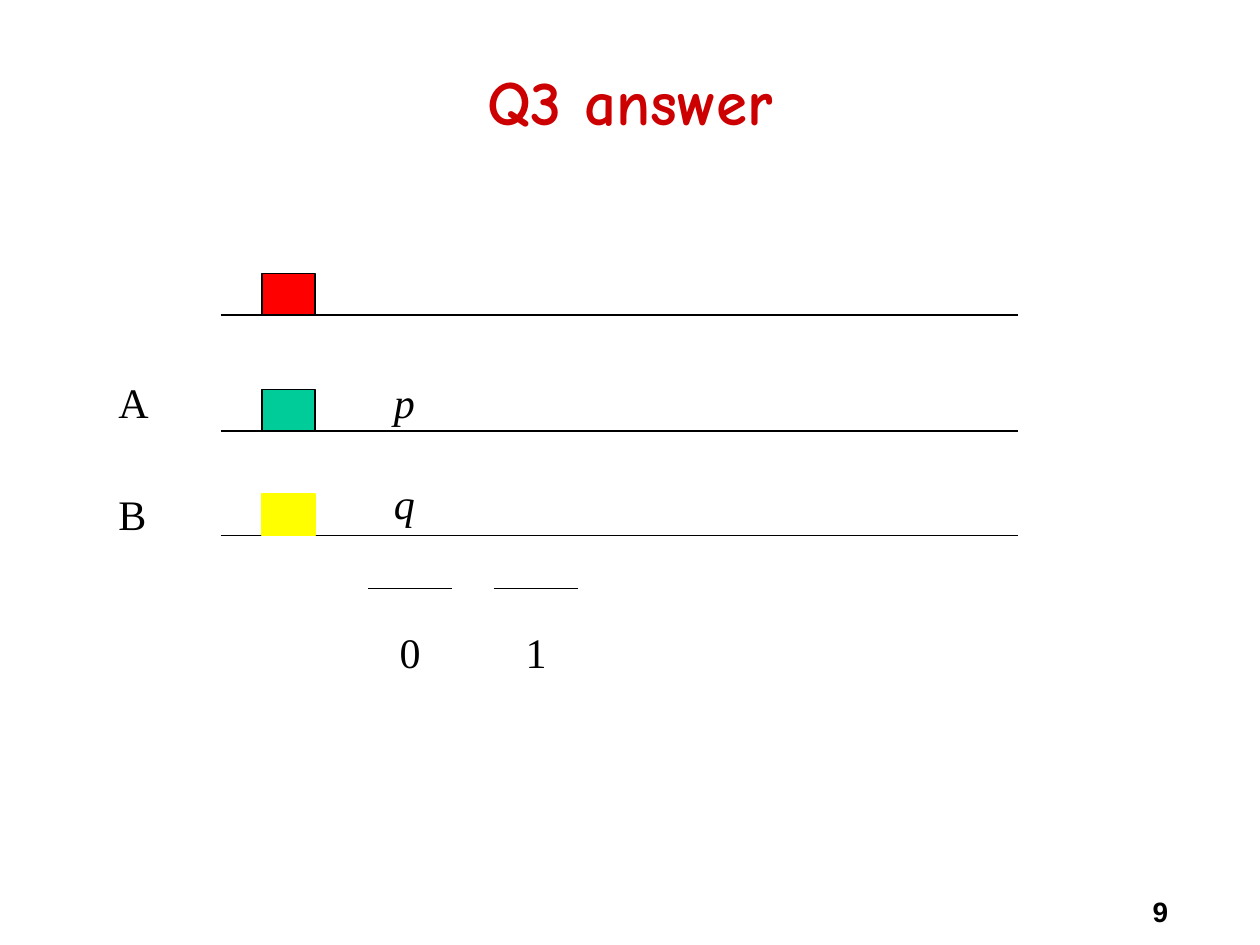
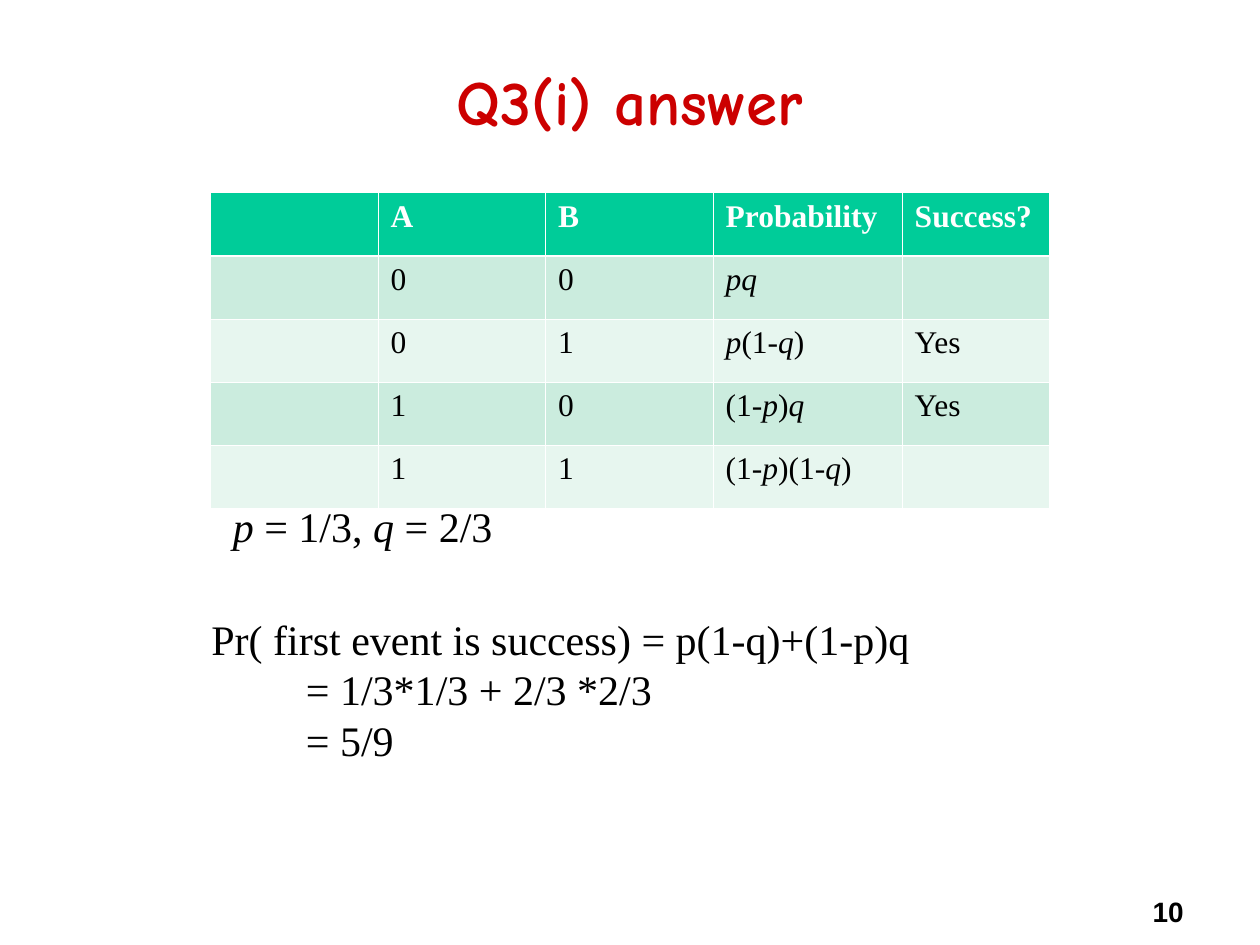
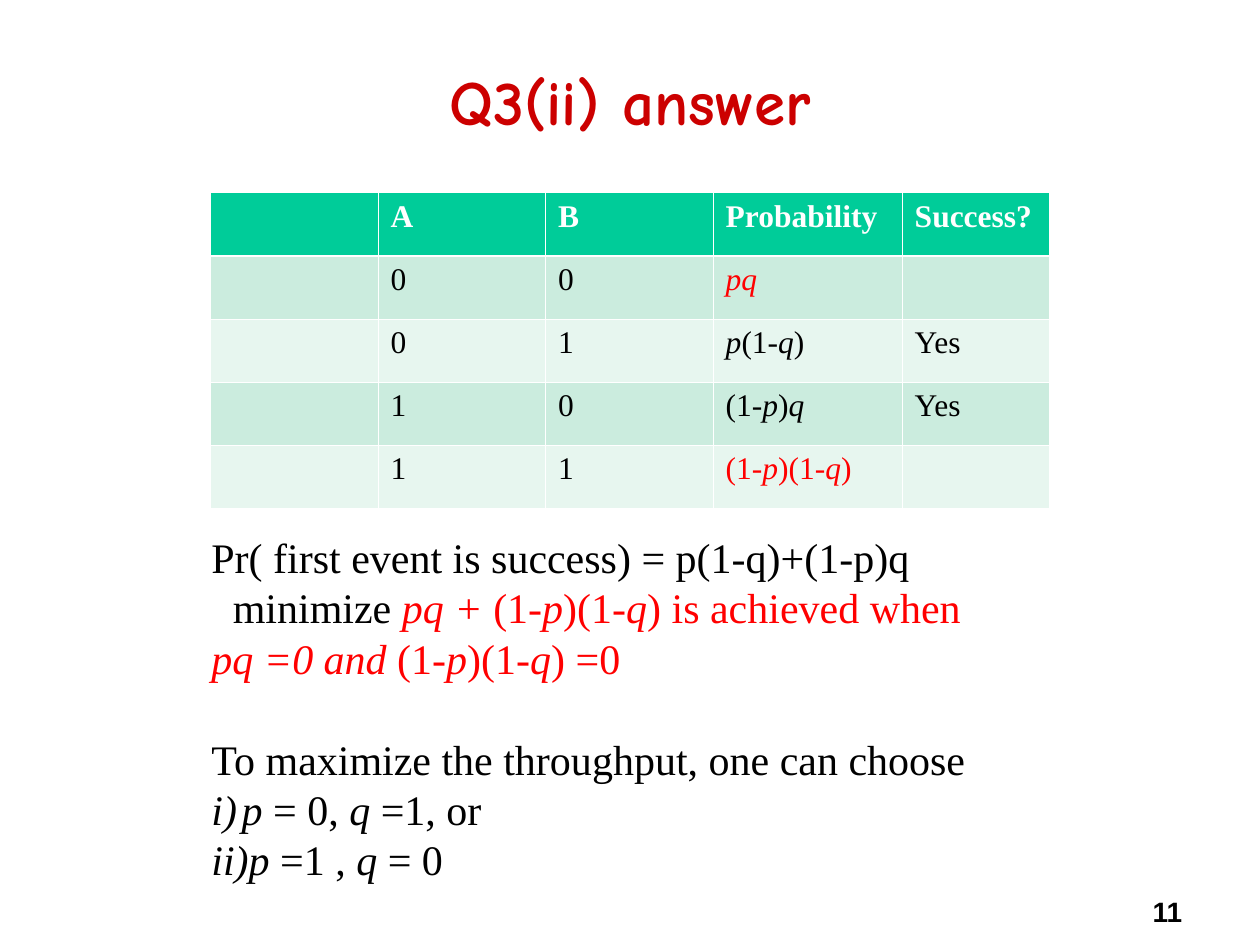
from lxml import etree
from pptx import Presentation, util as u
from pptx.dml.color import RGBColor
from pptx.enum import shapes, text
from pptx.oxml.ns import qn

WIDE, HIGH = 10, 7.5
BLACK = RGBColor(0, 0, 0)
WHITE = RGBColor(255, 255, 255)
RED = RGBColor(255, 0, 0)
DEEP = RGBColor(0xCC, 0, 0)
GREEN = RGBColor(0, 0xCC, 0x99)
YELLOW = RGBColor(255, 255, 0)
BANDS = RGBColor(0xCB, 0xEC, 0xDE), RGBColor(0xE7, 0xF6, 0xEF)
SERIF, SANS, COMIC = "Times New Roman", "Arial", "Comic Neue"
LEAD = 28.8  # line height of body text, points
LEFT, CENTRE = text.PP_ALIGN.LEFT, text.PP_ALIGN.CENTER

# In all wording, _ switches italics and ^ switches red.
TITLES = ["Q3 answer", "Q3(i) answer", "Q3(ii) answer"]
FIRST = 9  # number of the first slide

# base line, square fill, square line
QUEUES = [(2.5, RED, BLACK), (3.42, GREEN, BLACK), (4.25, YELLOW, YELLOW)]
SLOTS = [(2.92, "0"), (3.92, "1")]
# left, top, width, wording, alignment
LABELS = [
    (0.84, 2.94, 0.75, "A", LEFT),
    (0.84, 3.83, 0.75, "B", LEFT),
    (2.92, 2.94, 0.58, "_p_", CENTRE),
    (2.92, 3.74, 0.58, "_q_", CENTRE),
]

COLS = [1.33, 1.33, 1.33, 1.5, 1.17]
HEAD = ["", "A", "B", "Probability", "Success?"]
CASES = [
    ["", "0", "0", "_pq_", ""],
    ["", "0", "1", "_p_(1-_q_)", "Yes"],
    ["", "1", "0", "(1-_p_)_q_", "Yes"],
    ["", "1", "1", "(1-_p_)(1-_q_)", ""],
]
FAILS = [[f"^{c}^" if k == 3 and not row[4] else c for k, c in enumerate(row)]
         for row in CASES]

# wording, then paragraph options
CHANCE = ("Pr( first event is success) = p(1-q)+(1-p)q", {})
GIVEN = [("_p_ = 1/3, _q_ = 2/3", {})]
SUM = [
    CHANCE,
    ("= 1/3*1/3 + 2/3 *2/3", {"left": 0.75}),
    ("= 5/9", {"left": 0.75}),
]
BEST = [
    CHANCE,
    ("minimize ^_pq + _(1-_p_)(1-_q_) is achieved when^", {"left": 0.17}),
    ("^_pq =0 and _(1-_p_)(1-_q_) =0^", {}),
    ("To maximize the throughput, one can choose", {"gap": LEAD}),
    ("_p_ = 0, _q_ =1, or", {"left": 0.24, "roman": True}),
    ("_p_ =1 , _q_ = 0", {"left": 0.24, "roman": True}),
]


def write(para, words, size=24, face=SERIF, color=BLACK, bold=False):
    """Fill a paragraph, reading the italic and red switches."""
    font = para.font
    font.size, font.name, font.bold = u.Pt(size), face, bold
    font.color.rgb = color
    for k, tinted in enumerate(words.split("^")):
        for j, part in enumerate(tinted.split("_")):
            if part:
                run = para.add_run()
                run.text = part
                if j % 2:
                    run.font.italic = True
                if k % 2:
                    run.font.color.rgb = RED


def box(slide, left, top, wide, high):
    """Add an empty wrapping text box and return its frame."""
    frame = slide.shapes.add_textbox(*map(u.Inches, (left, top, wide, high))).text_frame
    frame.word_wrap = True
    return frame


def body(slide, left, top, wide, lines, align=LEFT):
    """Add serif body text, one paragraph for each line."""
    frame = box(slide, left, top, wide, 0.1 + len(lines) * LEAD / 72)
    for k, (words, opts) in enumerate(lines):
        para = frame.add_paragraph() if k else frame.paragraphs[0]
        para.alignment, para.line_spacing = align, u.Pt(LEAD)
        if "gap" in opts:
            para.space_before = u.Pt(opts["gap"])
        write(para, words)
        props = para._p.get_or_add_pPr()
        if "left" in opts:
            props.set("marL", str(u.Inches(opts["left"])))
        if "roman" in opts:
            props.set("indent", str(-u.Inches(opts["left"])))
            mark = etree.Element(qn("a:buAutoNum"), type="romanLcParenR")
            props.find(qn("a:defRPr")).addprevious(mark)


def rule(slide, left, right, y):
    """Draw a thin level line."""
    line = slide.shapes.add_connector(
        shapes.MSO_CONNECTOR.STRAIGHT, *map(u.Inches, (left, y, right, y)))
    line.line.color.rgb, line.line.width = BLACK, u.Pt(0.74)
    etree.SubElement(line._element.spPr, qn("a:effectLst"))


def square(slide, base, fill, edge):
    """Stand a packet on its queue line."""
    wide, high = 0.42, 0.33
    shape = slide.shapes.add_shape(
        shapes.MSO_SHAPE.RECTANGLE, *map(u.Inches, (2.08, base - high, wide, high)))
    shape.shadow.inherit = False
    shape.fill.solid()
    shape.fill.fore_color.rgb = fill
    shape.line.color.rgb, shape.line.width = edge, u.Pt(0.74)


def border(cell, row):
    """Give a cell white edges, thicker between head and body."""
    props = cell._tc.get_or_add_tcPr()
    for side in "LRTB":
        thick = (row, side) in ((0, "B"), (1, "T"))
        edge = etree.SubElement(props, qn("a:ln" + side),
                                w=str(u.Pt(1.47 if thick else 0.45)))
        fill = etree.SubElement(edge, qn("a:solidFill"))
        etree.SubElement(fill, qn("a:srgbClr"), val=str(WHITE))


def grid(slide, cases):
    """Add the table of outcomes."""
    rows, high = [HEAD] + cases, 0.41
    area = 1.67, 1.53, sum(COLS), high * len(rows)
    table = slide.shapes.add_table(len(rows), len(COLS), *map(u.Inches, area)).table
    table.horz_banding = False
    for col, wide in zip(table.columns, COLS):
        col.width = u.Inches(wide)
    for r, row in enumerate(rows):
        table.rows[r].height = u.Inches(high)
        for c, words in enumerate(row):
            cell = table.cell(r, c)
            border(cell, r)
            cell.fill.solid()
            cell.fill.fore_color.rgb = BANDS[(r - 1) % 2] if r else GREEN
            para = cell.text_frame.paragraphs[0]
            if words:
                write(para, words, 18, color=BLACK if r else WHITE, bold=not r)
            else:
                end = etree.SubElement(para._p, qn("a:endParaRPr"), sz="2400")
                etree.SubElement(end, qn("a:latin"), typeface=SERIF)


def start(deck, k):
    """Add a slide with its number and title."""
    slide = deck.slides.add_slide(deck.slide_layouts[6])
    number = box(slide, 9.05, 7.05, 1.27, 0.36)
    write(number.paragraphs[0], str(FIRST + k), 16, SANS, bold=True)
    title = box(slide, 0.75, 0.17, WIDE - 1.5, 1.25)
    title.vertical_anchor = text.MSO_ANCHOR.MIDDLE
    title.paragraphs[0].alignment = CENTRE
    write(title.paragraphs[0], TITLES[k], 36, COMIC, DEEP, True)
    return slide


deck = Presentation()
deck.slide_width, deck.slide_height = u.Inches(WIDE), u.Inches(HIGH)
queue, odds, best = [start(deck, k) for k in range(len(TITLES))]

for base, fill, edge in QUEUES:
    rule(queue, 1.75, 8.08, base)
    square(queue, base, fill, edge)
for left, top, wide, words, align in LABELS:
    body(queue, left, top, wide, [(words, {})], align)
for left, words in SLOTS:
    rule(queue, left, left + 0.67, 4.67)
    body(queue, left, 4.92, 0.67, [(words, {})], CENTRE)

grid(odds, CASES)
body(odds, 1.58, 4.82, 6.83, SUM)
body(odds, 1.75, 3.92, 2.83, GIVEN)

grid(best, FAILS)
body(best, 1.58, 4.17, 6.83, BEST)

deck.save("out.pptx")
